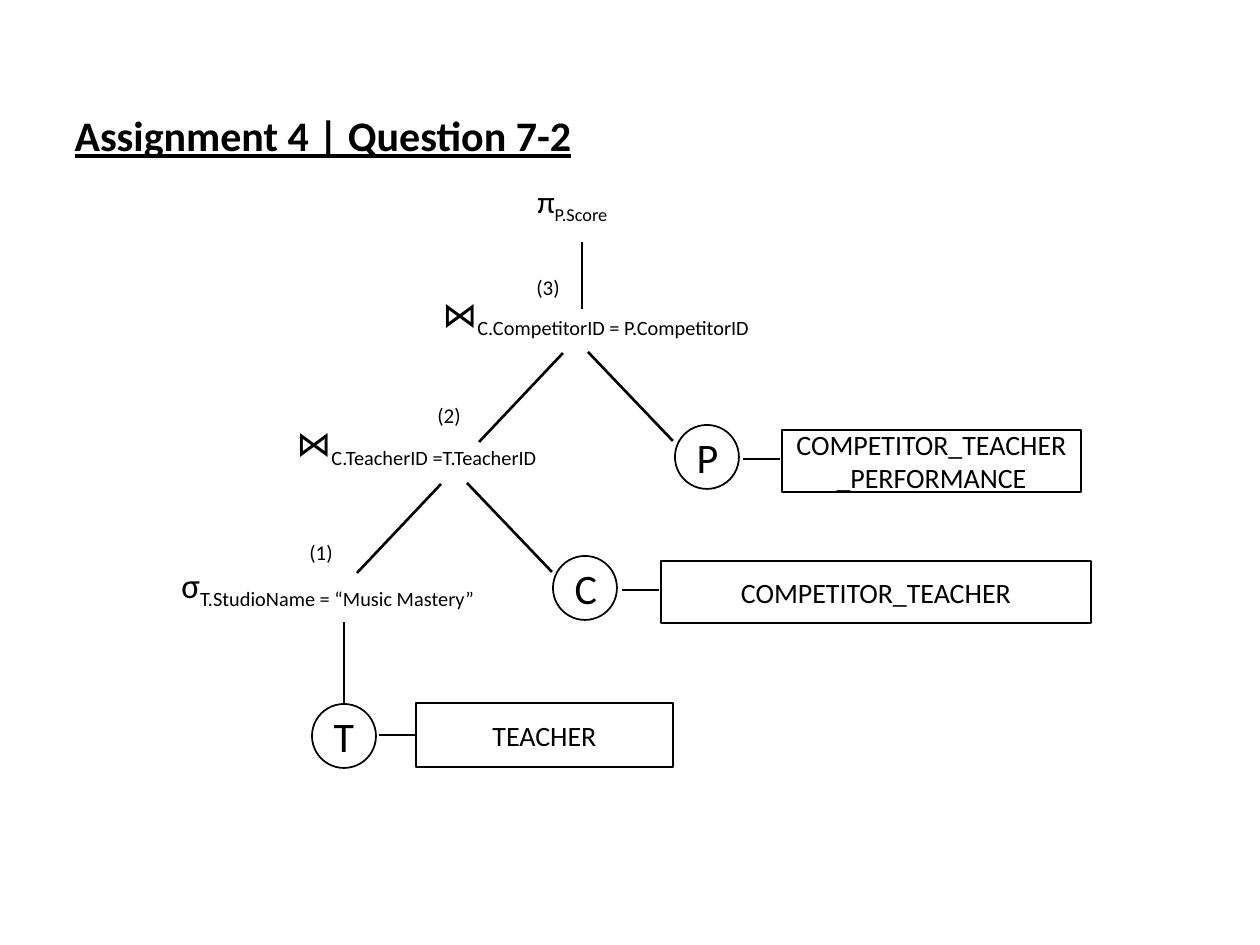
import pptx
import pptx.util
import pptx.dml.color
import pptx.enum.shapes
import pptx.enum.text
import pptx.oxml
import lxml.etree
from dataclasses import dataclass


@dataclass
class Theme:
    font: str = "Calibri"
    ink: pptx.dml.color.RGBColor = pptx.dml.color.RGBColor(0, 0, 0)
    paper: pptx.dml.color.RGBColor = pptx.dml.color.RGBColor(255, 255, 255)
    title_size: int = 24
    operator_size: int = 20
    projection_size: int = 18
    step_size: int = 12
    alias_size: int = 24
    table_size: int = 16
    outline: float = 1
    branch: float = 1.5


theme = Theme()
SCALE = 914400 / 126
Align = pptx.enum.text.PP_ALIGN
Anchor = pptx.enum.text.MSO_ANCHOR
Shape = pptx.enum.shapes.MSO_SHAPE


def emu(*lengths):
    return [pptx.util.Emu(round(length * SCALE)) for length in lengths]


def add_run(paragraph, text, size):
    run = paragraph.add_run()
    run.text = text
    run.font.name = theme.font
    run.font.size = pptx.util.Pt(size)
    run.font.color.rgb = theme.ink
    return run


presentation = pptx.Presentation()
presentation.slide_width, presentation.slide_height = emu(1260, 945)
slide = presentation.slides.add_slide(presentation.slide_layouts[5])

title = slide.shapes.title
title.left, title.top, title.width, title.height = emu(62, 103, 1138, 63)
title.text_frame.vertical_anchor = Anchor.TOP
title.text_frame.auto_size = pptx.enum.text.MSO_AUTO_SIZE.SHAPE_TO_FIT_TEXT
paragraph = title.text_frame.paragraphs[0]
paragraph.alignment = Align.LEFT
run = add_run(paragraph, "Assignment 4 | Question 7-2", theme.title_size)
run.font.bold = True
run.font.underline = True

labels = [
    ("π", "P.Score", theme.projection_size, 525, 176, 150, 50),
    ("⋈", "C.CompetitorID = P.CompetitorID", theme.operator_size, 430, 286, 442, 55),
    ("⋈", "C.TeacherID =T.TeacherID", theme.operator_size, 284, 415, 334, 55),
    ("σ", "T.StudioName = “Music Mastery”", theme.operator_size, 169, 557, 368, 55),
    ("(1)", "", theme.step_size, 297, 533, 79, 38),
    ("(2)", "", theme.step_size, 425, 396, 79, 38),
    ("(3)", "", theme.step_size, 524, 268, 79, 38),
]
for text, subscript, size, *box in labels:
    label = slide.shapes.add_textbox(*emu(*box))
    label.text_frame.word_wrap = True
    label.text_frame.auto_size = pptx.enum.text.MSO_AUTO_SIZE.SHAPE_TO_FIT_TEXT
    paragraph = label.text_frame.paragraphs[0]
    add_run(paragraph, text, size)
    if subscript:
        run = add_run(paragraph, subscript, size)
        run._r.get_or_add_rPr().set("baseline", "-25000")

nodes = [
    (Shape.OVAL, "P", theme.alias_size, 675, 425, 64, 64),
    (Shape.OVAL, "C", theme.alias_size, 553, 556, 64, 64),
    (Shape.OVAL, "T", theme.alias_size, 312, 704, 64, 64),
    (Shape.RECTANGLE, "COMPETITOR_TEACHER_PERFORMANCE", theme.table_size, 782, 430, 299, 62),
    (Shape.RECTANGLE, "COMPETITOR_TEACHER", theme.table_size, 661, 561, 430, 62),
    (Shape.RECTANGLE, "TEACHER", theme.table_size, 416, 703, 257, 64),
]
node_shapes = {}
for kind, text, size, *box in nodes:
    shape = slide.shapes.add_shape(kind, *emu(*box))
    shape.shadow.inherit = False
    shape.fill.solid()
    shape.fill.fore_color.rgb = theme.paper
    shape.line.color.rgb = theme.ink
    shape.line.width = pptx.util.Pt(theme.outline)
    shape.text_frame.word_wrap = True
    shape.text_frame.vertical_anchor = Anchor.MIDDLE
    paragraph = shape.text_frame.paragraphs[0]
    paragraph.alignment = Align.CENTER
    add_run(paragraph, text, size)
    node_shapes[text] = shape

branches = [
    (582, 242, 582, 309, None, None),
    (563, 353, 479, 442, None, None),
    (588, 352, 673, 441, None, None),
    (441, 484, 357, 573, None, None),
    (467, 483, 552, 572, None, None),
    (344, 622, 344, 704, "T", 0),
    (743, 459, 780, 459, None, None),
    (622, 590, 659, 590, None, None),
    (379, 735, 416, 735, "TEACHER", 1),
]
for *ends, target, side in branches:
    connector = slide.shapes.add_connector(
        pptx.enum.shapes.MSO_CONNECTOR.STRAIGHT, *emu(*ends)
    )
    connector.line.color.rgb = theme.ink
    connector.line.width = pptx.util.Pt(theme.branch)
    lxml.etree.SubElement(
        connector._element.spPr, pptx.oxml.ns.qn("a:effectLst")
    )
    if target:
        connector.end_connect(node_shapes[target], side)

presentation.save("out.pptx")
